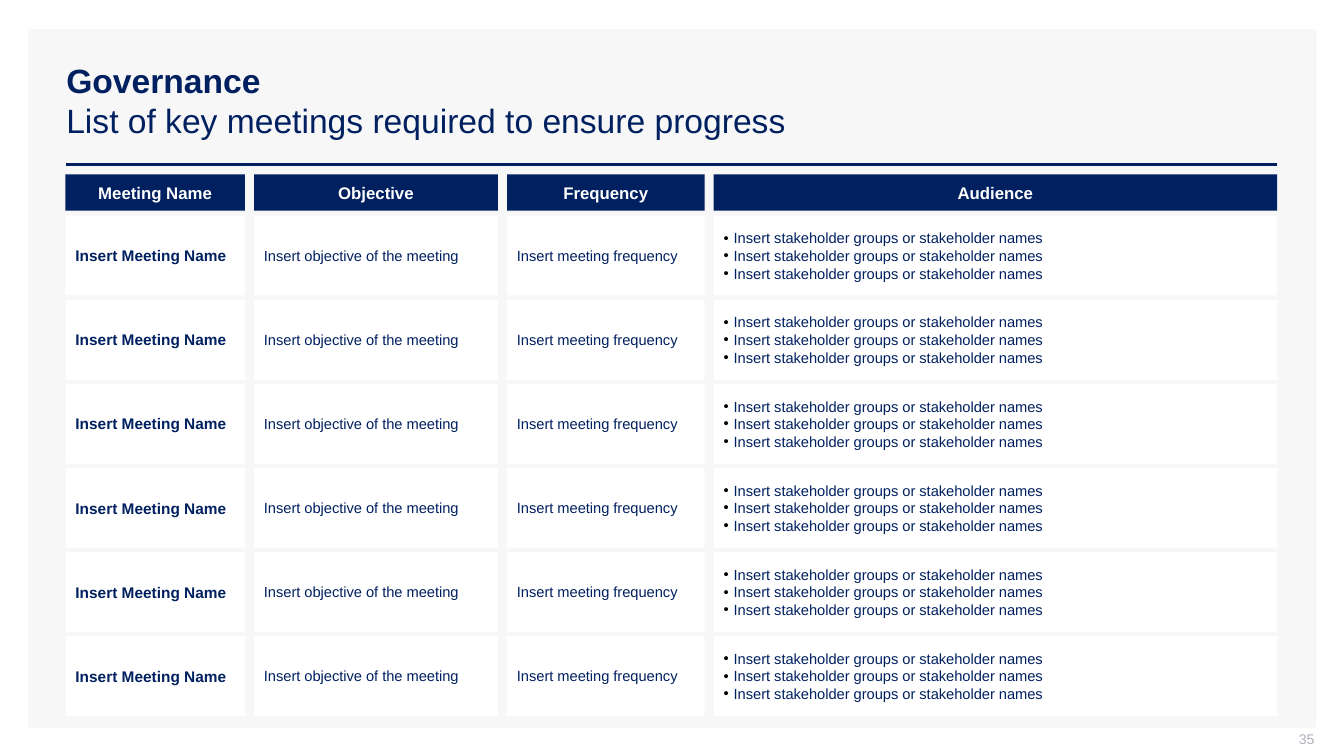
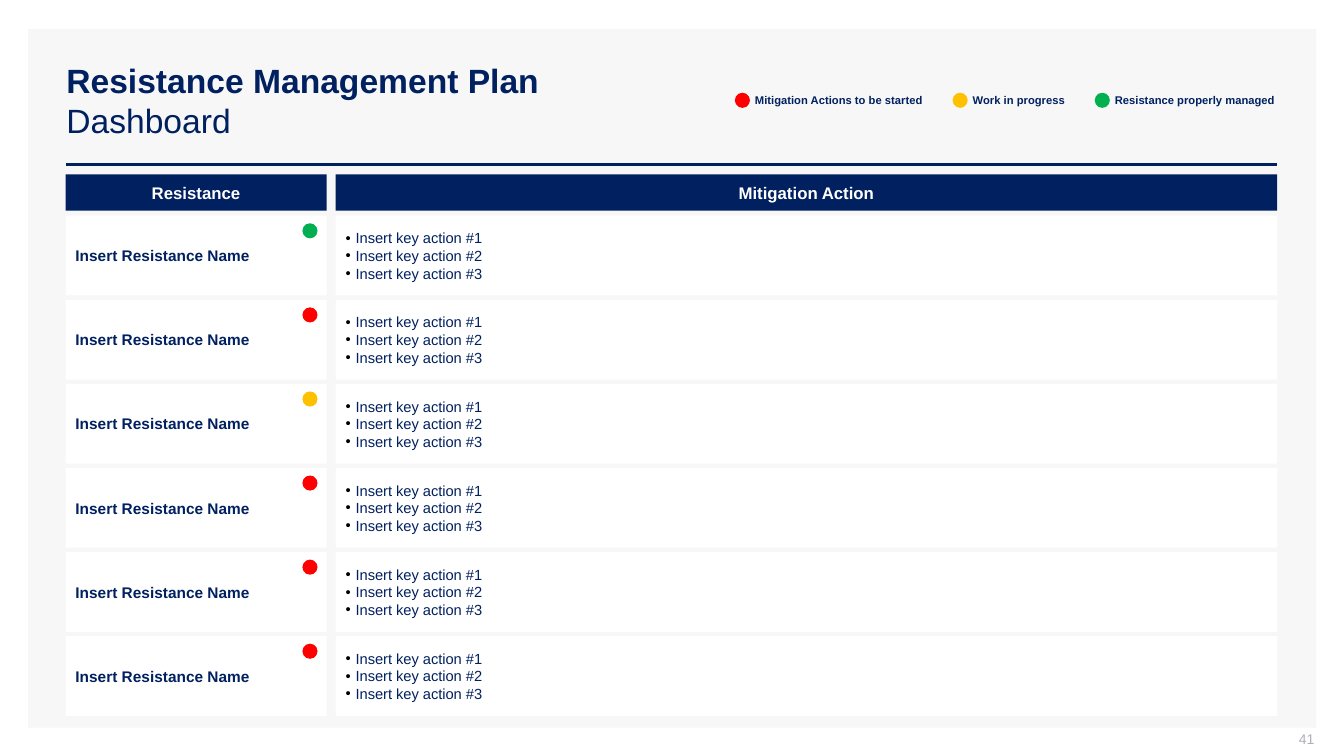
"""Build a governance meeting list and a resistance dashboard on one shared grid."""
import pptx
import pptx.dml.color
import pptx.enum.shapes
import pptx.enum.text
import pptx.oxml.ns
import pptx.util
from lxml import etree

ANCHOR = pptx.enum.text.MSO_ANCHOR.MIDDLE
ALIGN = pptx.enum.text.PP_ALIGN
SHAPE = pptx.enum.shapes.MSO_SHAPE
RGB = pptx.dml.color.RGBColor.from_string
Pt = pptx.util.Pt
qn = pptx.oxml.ns.qn

THEME = {
    "font": "Arial",
    "navy": "002060", "white": "FFFFFF", "panel": "F7F7F7", "muted": "ADAFBB", "bullet": "000000",
    "red": "FF0000", "amber": "FFC000", "green": "00B050",
    "styles": {
        "title": {"size": 24, "bold": True, "color": "navy", "align": ALIGN.LEFT, "insets": (7.2, 3.6, 7.2, 3.6)},
        "number": {"size": 10, "bold": False, "color": "muted", "align": ALIGN.RIGHT, "insets": (7.2, 0, 0, 3.6)},
        "header": {"size": 12, "bold": True, "color": "white", "align": ALIGN.CENTER, "insets": (1.4, 1.4, 1.4, 1.4)},
        "name": {"size": 11, "bold": True, "color": "navy", "align": ALIGN.LEFT, "insets": (7.2, 3.6, 7.2, 3.6)},
        "body": {"size": 10.5, "bold": False, "color": "navy", "align": ALIGN.LEFT, "insets": (7.2, 3.6, 7.2, 3.6)},
        "legend": {"size": 8, "bold": True, "color": "navy", "align": ALIGN.LEFT, "insets": (0, 0, 0, 0)},
    },
}

deck = pptx.Presentation()
deck.slide_width, deck.slide_height = pptx.util.Inches(13.33), pptx.util.Inches(7.5)
COLUMN, ROW = deck.slide_width / 160, deck.slide_height / 90

LEFT, RIGHT, GUTTER = 7.8, 152.04, 1.08
HEADER_TOP, HEADER_HEIGHT = 20.76, 4.32
BODY_TOP, BODY_STEP, BODY_HEIGHT, BODY_ROWS = 25.68, 10.01, 9.5, 6
DOT = 1.8


def draw(page, left, top, width, height, fill=None, kind=SHAPE.RECTANGLE):
    """Place a filled shape, or a text box when there is no fill, on the grid."""
    place = [round(left * COLUMN), round(top * ROW), round(width * COLUMN), round(height * ROW)]
    if fill is None:
        return page.shapes.add_textbox(*place)
    box = page.shapes.add_shape(kind, *place)
    box.shadow.inherit = False
    box.fill.solid()
    box.fill.fore_color.rgb = RGB(THEME[fill])
    box.line.fill.background()
    return box


def write(box, lines, style_name, bulleted=False):
    """Fill a box with one paragraph per line in a named style."""
    style = THEME["styles"][style_name]
    frame = box.text_frame
    margins = zip(("margin_left", "margin_top", "margin_right", "margin_bottom"), map(Pt, style["insets"]))
    for name, value in {"word_wrap": True, "vertical_anchor": ANCHOR, **dict(margins)}.items():
        setattr(frame, name, value)
    for index, line in enumerate(lines):
        para = frame.add_paragraph() if index else frame.paragraphs[0]
        para.alignment = style["align"]
        if bulleted:
            props = para._p.get_or_add_pPr()
            props.set("marL", str(Pt(7.2)))
            props.set("indent", str(-Pt(7.2)))
            color = etree.SubElement(props, qn("a:buClr"))
            etree.SubElement(color, qn("a:srgbClr"), val=THEME["bullet"])
            etree.SubElement(props, qn("a:buFont"), typeface=THEME["font"])
            etree.SubElement(props, qn("a:buChar"), char="•")
        span = para.add_run()
        span.text = line
        for name, value in {"name": THEME["font"], "size": Pt(style["size"]), "bold": style["bold"]}.items():
            setattr(span.font, name, value)
        span.font.color.rgb = RGB(THEME[style["color"]])


PAGES = [
    {
        "title": ("Governance", "List of key meetings required to ensure progress"),
        "number": "35",
        "columns": [
            (1.78, "Meeting Name", "name", ["Insert Meeting Name"]),
            (2.42, "Objective", "body", ["Insert objective of the meeting"]),
            (1.96, "Frequency", "body", ["Insert meeting frequency"]),
            (5.59, "Audience", "body", ["Insert stakeholder groups or stakeholder names"] * 3),
        ],
        "legend": [],
        "statuses": [],
    },
    {
        "title": ("Resistance Management Plan", "Dashboard"),
        "number": "41",
        "columns": [
            (2.59, "Resistance", "name", ["Insert Resistance Name"]),
            (9.34, "Mitigation Action", "body", [f"Insert key action #{number}" for number in (1, 2, 3)]),
        ],
        "legend": [
            (87.48, 20.8, "red", "Mitigation Actions to be started"),
            (113.4, 12, "amber", "Work in progress"),
            (130.32, 20, "green", "Resistance properly managed"),
        ],
        "statuses": ["green", "red", "amber", "red", "red", "red"],
    },
]

for content in PAGES:
    page = deck.slides.add_slide(deck.slide_layouts[6])
    draw(page, 3.36, 3.48, 153.36, 83.16, "panel")
    rule = page.shapes.add_connector(
        pptx.enum.shapes.MSO_CONNECTOR.STRAIGHT,
        *(round(value) for value in (7.92 * COLUMN, 19.56 * ROW, RIGHT * COLUMN, 19.56 * ROW)))
    rule.line.width = Pt(2)
    rule.line.color.rgb = RGB(THEME["navy"])
    etree.SubElement(rule._element.spPr, qn("a:effectLst"))

    title = draw(page, 6.72, 4.8, 145.32, 14.28)
    write(title, content["title"], "title")
    title.text_frame.paragraphs[1].runs[0].font.bold = False
    write(draw(page, 120.48, 87, 36, 2.52), [content["number"]], "number")

    weights = [column[0] for column in content["columns"]]
    usable = RIGHT - LEFT - GUTTER * (len(weights) - 1)
    left = LEFT
    for weight, heading, style_name, lines in content["columns"]:
        width = usable * weight / sum(weights)
        write(draw(page, left, HEADER_TOP, width, HEADER_HEIGHT, "navy"), [heading], "header")
        for row in range(BODY_ROWS):
            cell = draw(page, left, BODY_TOP + row * BODY_STEP, width, BODY_HEIGHT, "white")
            write(cell, lines, style_name, bulleted=len(lines) > 1)
        left += width + GUTTER

    for left, width, color, label in content["legend"]:
        draw(page, left, 11.04, DOT, DOT, color, SHAPE.OVAL)
        write(draw(page, left + 2.4, 11.16, width, 1.56), [label], "legend")
    for row, color in enumerate(content["statuses"]):
        draw(page, 36, BODY_TOP + row * BODY_STEP + 0.9, DOT, DOT, color, SHAPE.OVAL)

deck.save("out.pptx")
